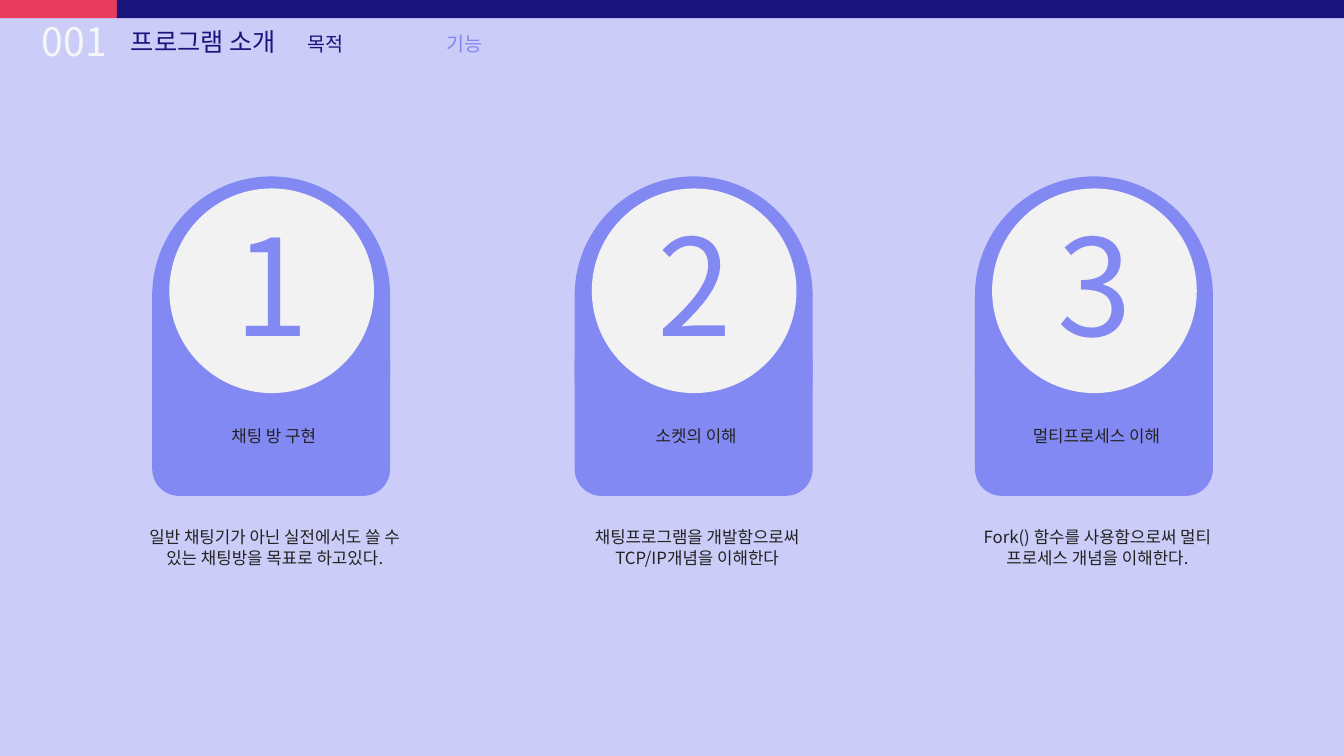
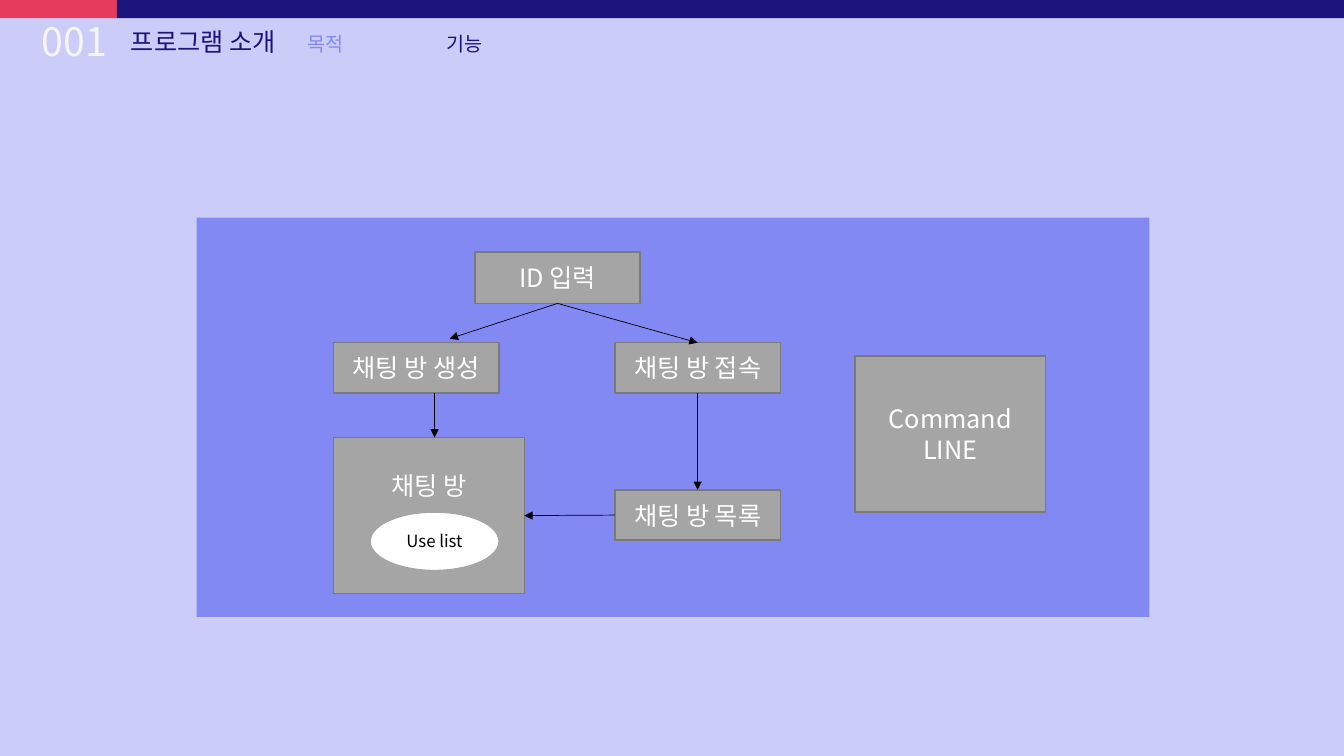
from dataclasses import dataclass
from typing import Optional

import lxml.etree
import pptx
import pptx.dml.color
import pptx.enum.shapes
import pptx.enum.text
import pptx.oxml.ns
import pptx.shapes.autoshape
import pptx.shapes.connector
import pptx.slide
import pptx.text.text
import pptx.util

Inches = pptx.util.Inches
Kind = pptx.enum.shapes.MSO_SHAPE
Align = pptx.enum.text.PP_ALIGN
Anchor = pptx.enum.text.MSO_ANCHOR
Box = tuple[float, float, float, float]
Point = tuple[float, float]

# Theme
FONT = "Noto Sans CJK KR"
PALE, NAVY, RED, BLUE = "CBCCF7", "1A147C", "E63B5C", "8389F2"
CLOUD, SNOW, INK = "F6F5F7", "F2F2F2", "222222"
GRAY, EDGE, WHITE, BLACK = "A5A5A5", "7A7A7A", "FFFFFF", "000000"
WIDTH, HEIGHT, BAND, SPLIT = 13.33, 7.5, 0.18, 1.16
TABS = ("목적", "기능")


@dataclass
class Card:
    left: float
    digit: str
    label: str
    note: str


@dataclass
class Node:
    name: str
    box: Box
    text: str
    foot: float = 0.05


@dataclass
class Arrow:
    """An end is a point, or a node name with the number of its side."""
    start: Point | tuple[str, int]
    end: Point | tuple[str, int]


CARDS = [
    Card(1.51, "1", "채팅 방 구현",
         "일반 채팅기가 아닌 실전에서도 쓸 수 있는 채팅방을 목표로 하고있다."),
    Card(5.7, "2", "소켓의 이해",
         "채팅프로그램을 개발함으로써\nTCP/IP개념을 이해한다"),
    Card(9.67, "3", "멀티프로세스 이해",
         "Fork() 함수를 사용함으로써 멀티 프로세스 개념을 이해한다."),
]

NODES = [
    Node("login", (4.71, 2.5, 1.64, 0.51), "ID 입력"),
    Node("join", (6.1, 3.4, 1.64, 0.5), "채팅 방 접속"),
    Node("make", (3.31, 3.4, 1.64, 0.5), "채팅 방 생성"),
    Node("room", (3.31, 4.34, 1.89, 1.55), "채팅 방", foot=0.65),
    Node("list", (6.1, 4.86, 1.64, 0.5), "채팅 방 목록"),
    Node("shell", (8.48, 3.53, 1.89, 1.55), "Command LINE"),
]

ARROWS = [
    Arrow(("login", 2), (4.46, 3.36)),
    Arrow(("login", 2), ("join", 0)),
    Arrow((4.31, 3.9), (4.31, 4.34)),
    Arrow(("join", 2), ("list", 0)),
    Arrow(("list", 1), ("room", 3)),
]


# Drawing tools
def paint(target, color: str) -> None:
    """Give a fill a solid colour."""
    target.solid()
    target.fore_color.rgb = pptx.dml.color.RGBColor.from_string(color)


def write(frame: pptx.text.text.TextFrame, text: str, *, size: float,
          color: str, align: Align = Align.CENTER,
          anchor: Anchor = Anchor.TOP, foot: float = 0.05) -> None:
    frame.word_wrap = True
    frame.vertical_anchor = anchor
    frame.margin_bottom = Inches(foot)
    frame.text = text
    for para in frame.paragraphs:
        para.alignment = align
        for run in para.runs:
            run.font.size = pptx.util.Pt(size)
            run.font.name = FONT
            paint(run.font.fill, color)
            # East Asian glyphs need their own typeface entry
            east = lxml.etree.Element(pptx.oxml.ns.qn("a:ea"), typeface=FONT)
            latin = run.font._element.find(pptx.oxml.ns.qn("a:latin"))
            latin.addnext(east)


def label(slide: pptx.slide.Slide, box: Box, text: str, **style) -> None:
    area = slide.shapes.add_textbox(*map(Inches, box))
    write(area.text_frame, text, **style)


def shape(slide: pptx.slide.Slide, kind: Kind, box: Box, fill: str,
          edge: Optional[str] = None) -> pptx.shapes.autoshape.Shape:
    item = slide.shapes.add_shape(kind, *map(Inches, box))
    item.shadow.inherit = False
    paint(item.fill, fill)
    if edge:
        paint(item.line.fill, edge)
        item.line.width = pptx.util.Pt(1)
    else:
        item.line.fill.background()
    return item


def link(slide: pptx.slide.Slide, arrow: Arrow,
         nodes: dict[str, pptx.shapes.autoshape.Shape]) -> None:
    ends = (arrow.start, arrow.end)
    spots = [(0, 0) if end[0] in nodes else end for end in ends]
    line = slide.shapes.add_connector(
        pptx.enum.shapes.MSO_CONNECTOR.STRAIGHT,
        *(Inches(value) for spot in spots for value in spot))
    for end, attach in zip(ends, (line.begin_connect, line.end_connect)):
        if end[0] in nodes:
            attach(nodes[end[0]], end[1])
    paint(line.line.fill, BLACK)
    line.line.width = pptx.util.Pt(0.5)
    # Arrowhead, and no shadow
    stroke = line.line._get_or_add_ln()
    lxml.etree.SubElement(stroke, pptx.oxml.ns.qn("a:tailEnd"),
                          type="triangle")
    lxml.etree.SubElement(line._element.spPr,
                          pptx.oxml.ns.qn("a:effectLst"))


# Shared header
def begin(deck, active: str) -> pptx.slide.Slide:
    slide = deck.slides.add_slide(deck.slide_layouts[6])
    paint(slide.background.fill, PALE)
    shape(slide, Kind.RECTANGLE, (0, 0, SPLIT, BAND), RED)
    shape(slide, Kind.RECTANGLE, (SPLIT, 0, WIDTH - SPLIT, BAND), NAVY)
    label(slide, (1.2, 0.21, 2.46, 0.4), "프로그램 소개",
          size=18, color=NAVY, align=Align.LEFT)
    label(slide, (0.02, 0.12, 1.14, 0.57), "001",
          size=28, color=CLOUD, align=Align.RIGHT)
    for index, tab in enumerate(TABS):
        label(slide, (2.95 + 1.38 * index, 0.27, 1.39, 0.34), tab, size=14,
              color=NAVY if tab == active else BLUE, align=Align.LEFT)
    return slide


# Slide 1: goals
def goals(deck) -> None:
    slide = begin(deck, TABS[0])
    for card in CARDS:
        left = card.left
        arch = shape(slide, Kind.ROUNDED_RECTANGLE,
                     (left, 1.75, 2.36, 3.15), BLUE)
        arch.adjustments[0] = 0.5
        shape(slide, Kind.ROUNDED_RECTANGLE, (left, 3.32, 2.36, 1.6), BLUE)
        shape(slide, Kind.OVAL, (left + 0.17, 1.87, 2.03, 2.03), SNOW)
        label(slide, (left + 0.57, 1.96, 1.24, 1.72), card.digit,
              size=96, color=BLUE)
        label(slide, (left + 0.03, 4.17, 2.35, 0.3), card.label,
              size=12, color=INK)
        label(slide, (left - 0.21, 5.18, 2.85, 0.5), card.note,
              size=12, color=INK)


# Slide 2: features
def features(deck) -> None:
    slide = begin(deck, TABS[1])
    shape(slide, Kind.RECTANGLE, (1.95, 2.16, 9.45, 3.96), BLUE)
    nodes = {}
    for node in NODES:
        item = shape(slide, Kind.RECTANGLE, node.box, GRAY, EDGE)
        write(item.text_frame, node.text, size=18, color=WHITE,
              anchor=Anchor.MIDDLE, foot=node.foot)
        nodes[node.name] = item
    users = shape(slide, Kind.OVAL, (3.67, 5.08, 1.28, 0.58), WHITE, GRAY)
    write(users.text_frame, "Use list", size=12, color=BLACK,
          anchor=Anchor.MIDDLE)
    for arrow in ARROWS:
        link(slide, arrow, nodes)


def main() -> None:
    deck = pptx.Presentation()
    deck.slide_width, deck.slide_height = Inches(WIDTH), Inches(HEIGHT)
    goals(deck)
    features(deck)
    deck.save("out.pptx")


if __name__ == "__main__":
    main()
